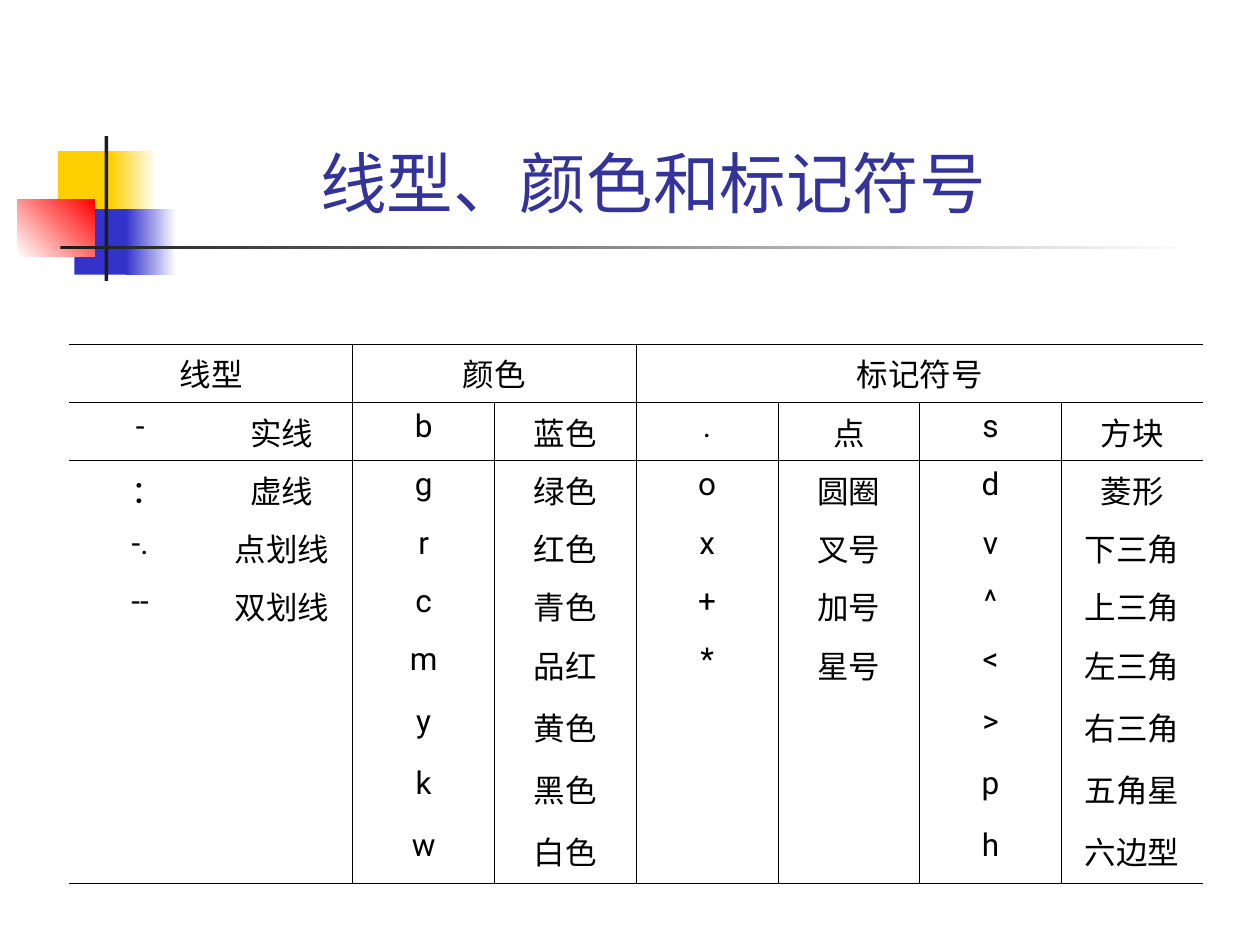
from dataclasses import dataclass

from lxml import etree
from pptx import Presentation
from pptx import util as u
from pptx.dml import color
from pptx.enum import shapes, text
from pptx.oxml import ns

Inches = u.Inches


@dataclass(frozen=True)
class Theme:
    font: str = "Roboto"
    title_size: float = 38
    cell_size: float = 18
    empty_size: float = 24
    rule_width: float = 0.45
    title: str = "333399"
    ink: str = "000000"
    white: str = "FFFFFF"
    yellow: str = "FFCF01"
    blue: str = "3333CC"
    red: str = "FF0000"
    bar: str = "1C1C1C"


THEME = Theme()
NO_STYLE = "{2D5ABB26-0587-4C30-8999-92F81FD0307C}"

HEADERS = [("线型", 0, 2), ("颜色", 2, 2), ("标记符号", 4, 4)]
GROUPS = [
    [("-", "实线"), ("：", "虚线"), ("-.", "点划线"), ("--", "双划线")],
    [("b", "蓝色"), ("g", "绿色"), ("r", "红色"), ("c", "青色"),
     ("m", "品红"), ("y", "黄色"), ("k", "黑色"), ("w", "白色")],
    [(".", "点"), ("o", "圆圈"), ("x", "叉号"), ("+", "加号"), ("*", "星号")],
    [("s", "方块"), ("d", "菱形"), ("v", "下三角"), ("^", "上三角"),
     ("<", "左三角"), (">", "右三角"), ("p", "五角星"), ("h", "六边型")],
]


def rgb(value):
    return color.RGBColor.from_string(value)


def write(para, words, size, ink):
    para.text = words
    para.alignment = text.PP_ALIGN.CENTER
    for span in para.runs:
        span.font.name = THEME.font
        span.font.size = u.Pt(size)
        span.font.color.rgb = rgb(ink)


def add_block(page, left, top, width, height, start, end=None, angle=0):
    block = page.shapes.add_shape(
        shapes.MSO_SHAPE.RECTANGLE,
        Inches(left), Inches(top), Inches(width), Inches(height))
    block.shadow.inherit = False
    block.line.fill.background()
    if end is None:
        block.fill.solid()
        block.fill.fore_color.rgb = rgb(start)
        return
    block.fill.gradient()
    block.fill.gradient_angle = angle
    for stop, value in zip(block.fill.gradient_stops, (start, end)):
        stop.color.rgb = rgb(value)


def add_ornament(page, left, top):
    blocks = [
        (0.32, 0.12, 0.48, 0.52, THEME.yellow),
        (0.74, 0.12, 0.36, 0.52, THEME.yellow, THEME.white),
        (0.45, 0.58, 0.46, 0.52, THEME.blue),
        (0.86, 0.58, 0.4, 0.52, THEME.blue, THEME.white),
        (0, 0.5, 0.61, 0.46, THEME.white, THEME.red, 45),
        (0.69, 0, 0.03, 1.15, THEME.bar),
        (0.34, 0.87, 9, 0.03, THEME.bar, THEME.white),
    ]
    for x, y, *rest in blocks:
        add_block(page, left + x, top + y, *rest)


def place_title(page, left, top, width, height):
    title = page.shapes.title
    title.left, title.top = Inches(left), Inches(top)
    title.width, title.height = Inches(width), Inches(height)
    frame = title.text_frame
    frame.auto_size = text.MSO_AUTO_SIZE.NONE
    frame.vertical_anchor = text.MSO_ANCHOR.BOTTOM
    write(frame.paragraphs[0], "线型、颜色和标记符号", THEME.title_size, THEME.title)


def add_border(cell, side):
    line = etree.SubElement(cell._tc.get_or_add_tcPr(), ns.qn(f"a:ln{side}"),
                            w=str(u.Pt(THEME.rule_width)))
    fill = etree.SubElement(line, ns.qn("a:solidFill"))
    etree.SubElement(fill, ns.qn("a:srgbClr"), val=THEME.ink)


def rule_cell(cell, row, column, last_row):
    dividers = (2, 4) if row == 0 else (2, 4, 6)
    borders = {
        "L": column in dividers,
        "R": column + cell.span_width in dividers,
        "T": row in (0, 1),
        "B": row in (0, last_row),
    }
    for side, shown in borders.items():
        if shown:
            add_border(cell, side)


def add_symbol_table(page, left, top, width, height):
    row_count = 1 + max(map(len, GROUPS))
    column_count = 2 * len(GROUPS)
    table = page.shapes.add_table(
        row_count, column_count,
        Inches(left), Inches(top), Inches(width), Inches(height)).table
    table.first_row = table.horz_banding = False
    table._tbl.tblPr.find(ns.qn("a:tableStyleId")).text = NO_STYLE

    words = {}
    for label, column, span in HEADERS:
        words[0, column] = label
        table.cell(0, column).merge(table.cell(0, column + span - 1))
    for group, entries in enumerate(GROUPS):
        for row, (symbol, meaning) in enumerate(entries, 1):
            words[row, 2 * group] = symbol
            words[row, 2 * group + 1] = meaning

    for row in range(row_count):
        for column in range(column_count):
            cell = table.cell(row, column)
            if cell.is_spanned:
                continue
            rule_cell(cell, row, column, row_count - 1)
            cell.fill.background()
            para = cell.text_frame.paragraphs[0]
            label = words.get((row, column))
            if label:
                write(para, label, THEME.cell_size, THEME.ink)
            else:
                mark = etree.SubElement(para._p, ns.qn("a:endParaRPr"),
                                        sz=str(THEME.empty_size * 100))
                etree.SubElement(mark, ns.qn("a:latin"), typeface=THEME.font)
            if label == "：":
                cell.margin_left = Inches(0.22)


def main():
    deck = Presentation()
    deck.slide_width, deck.slide_height = Inches(10), Inches(7.5)
    page = deck.slides.add_slide(deck.slide_layouts[5])
    add_ornament(page, 0.14, 1.08)
    place_title(page, 1.41, 0.94, 7.55, 0.87)
    add_symbol_table(page, 0.55, 2.73, 9, 3.66)
    deck.save("out.pptx")


if __name__ == "__main__":
    main()
